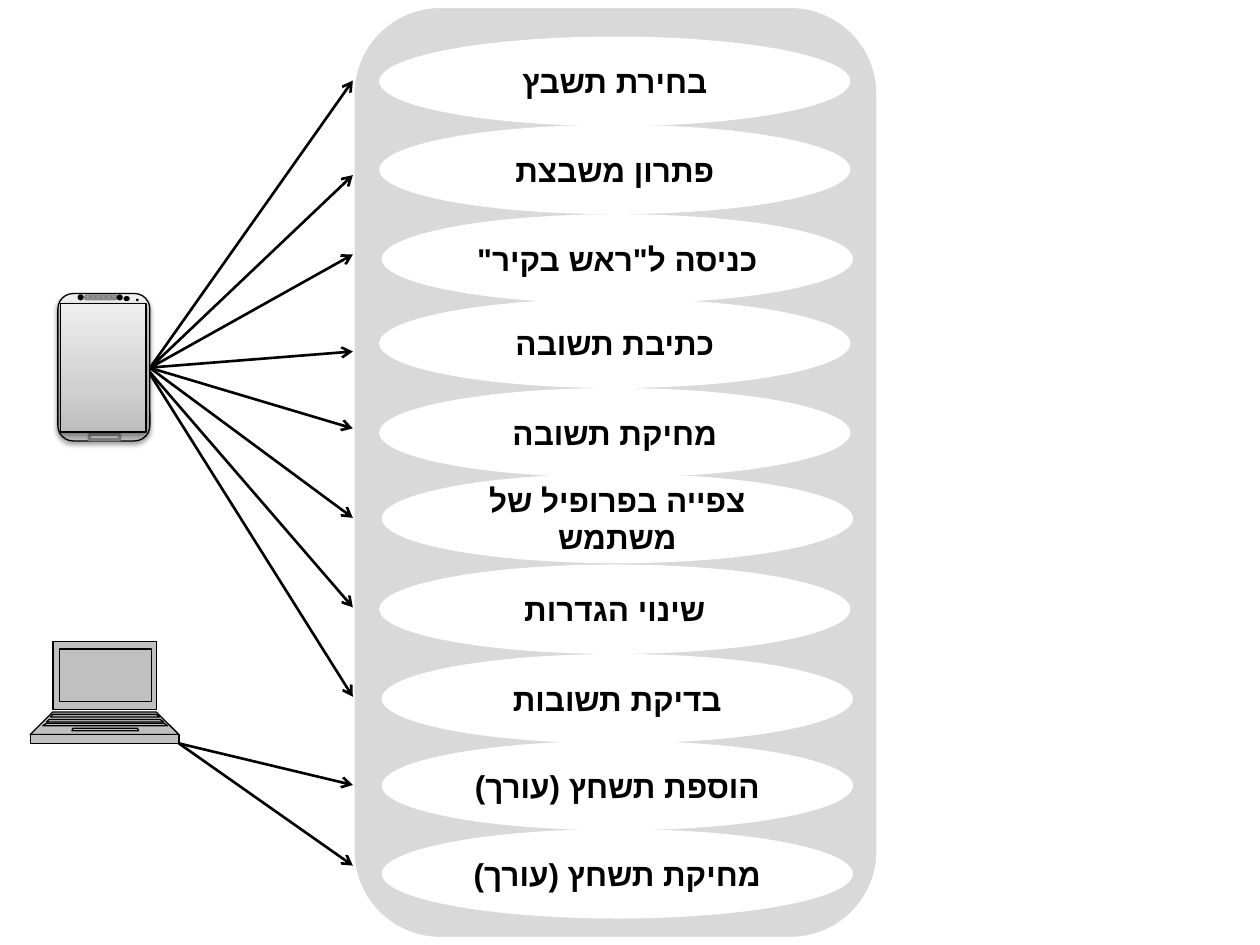
from copy import deepcopy
from lxml.etree import SubElement
from pptx import Presentation
from pptx.dml.color import RGBColor
from pptx.enum.dml import MSO_PATTERN
from pptx.enum.shapes import MSO_CONNECTOR, MSO_SHAPE as SHAPE
from pptx.enum.text import MSO_ANCHOR, PP_ALIGN
from pptx.oxml.ns import qn
from pptx.util import Inches, Pt

COLORS = {name: RGBColor.from_string(value) for name, value in {
    "black": "000000", "white": "FFFFFF", "panel": "D9D9D9", "laptop": "C0C0C0",
    "dark": "BDBDBD", "middle": "D1D1D1", "light": "EEEEEE",
    "speaker": "A6A6A6", "button": "808080"}.items()}


def style(shape, fill=None, line=None, width=0.75):
    shape.shadow.inherit = False
    if fill:
        shape.fill.solid()
        shape.fill.fore_color.rgb = COLORS[fill]
    if line:
        shape.line.color.rgb = COLORS[line]
        shape.line.width = Pt(width)
    else:
        shape.line.fill.background()


def add_part(parent, kind, box, fill=None, line=None, width=0.75):
    part = parent.add_shape(kind, *[Inches(value) for value in box])
    style(part, fill, line, width)
    return part


prs = Presentation()
prs.slide_width, prs.slide_height = Inches(10), Inches(7.5)
slide = prs.slides.add_slide(prs.slide_layouts[6])
shapes = slide.shapes

outline = shapes.build_freeform(Inches(0.42), Inches(5.09))
for top, left, right, bottom, low_left, low_right in [
    (5.09, 0.42, 1.24, 5.63, 0.42, 1.24),
    (5.65, 0.42, 1.24, 5.83, 0.24, 1.42),
    (5.83, 0.24, 1.42, 5.9, 0.24, 1.42),
    (5.15, 0.47, 1.2, 5.57, 0.47, 1.2),
    (5.67, 0.42, 1.24, 5.69, 0.4, 1.27),
    (5.78, 0.58, 1.09, 5.8, 0.57, 1.1),
    (5.71, 0.39, 1.27, 5.73, 0.37, 1.3),
    (5.74, 0.37, 1.3, 5.76, 0.34, 1.33),
]:
    if top > 5.09:
        outline.move_to(Inches(left), Inches(top))
    outline.add_line_segments([(Inches(x), Inches(y)) for x, y in [
        (right, top), (low_right, bottom), (low_left, bottom)]])
laptop = outline.convert_to_shape()
style(laptop, "laptop", "black")

contours = laptop._element.spPr.find(".//" + qn("a:pathLst"))
joined = contours[0]
size = dict(joined.attrib)
for step in list(joined):
    if step.tag == qn("a:moveTo"):
        contour = SubElement(contours, qn("a:path"), size)
    contour.append(step)
contours.remove(joined)

add_part(shapes, SHAPE.ROUNDED_RECTANGLE, (2.8, 0.05, 4.17, 7.4), "panel", "white", 2)

for left, top, label in [
    (3.01, 0.29, "בחירת תשבץ"),
    (3.01, 0.99, "פתרון משבצת"),
    (3.03, 1.7, 'כניסה ל"ראש בקיר"'),
    (3.01, 2.37, "כתיבת תשובה"),
    (3.01, 3.08, "מחיקת תשובה"),
    (3.03, 3.76, "צפייה בפרופיל של משתמש"),
    (3.01, 4.48, "שינוי הגדרות"),
    (3.03, 5.19, "בדיקת תשובות"),
    (3.03, 5.88, "הוספת תשחץ (עורך)"),
    (3.03, 6.58, "מחיקת תשחץ (עורך)"),
]:
    use_case = add_part(shapes, SHAPE.OVAL, (left, top, 3.74, 0.71), "white")
    frame = use_case.text_frame
    frame.word_wrap = True
    frame.vertical_anchor = MSO_ANCHOR.MIDDLE
    paragraph = frame.paragraphs[0]
    paragraph.alignment = PP_ALIGN.CENTER
    paragraph._p.get_or_add_pPr().set("rtl", "1")
    run = paragraph.add_run()
    run.text = label
    run.font.size, run.font.bold, run.font.name = Pt(18), True, "Calibri"
    run.font.color.rgb = COLORS["black"]
    SubElement(run._r.get_or_add_rPr(), qn("a:cs"), typeface="Arial")

phone_edge, phone_inside, laptop_corner = (1.19, 2.92), (1.16, 2.92), (1.42, 5.9)
for start, end_y in [
    (phone_edge, 0.64), (phone_edge, 1.39), (phone_edge, 2.02), (phone_inside, 2.79),
    (phone_edge, 3.4), (phone_edge, 4.11), (phone_inside, 4.82), (phone_inside, 5.53),
    (laptop_corner, 6.23), (laptop_corner, 6.87),
]:
    arrow = shapes.add_connector(MSO_CONNECTOR.STRAIGHT, Inches(start[0]), Inches(start[1]),
                                 Inches(2.8), Inches(end_y))
    arrow.line.color.rgb = COLORS["black"]
    arrow.line.width = Pt(1.5)
    SubElement(arrow.line._get_or_add_ln(), qn("a:tailEnd"), type="arrow")
    SubElement(arrow._element.spPr, qn("a:effectLst"))

phone = shapes.add_group_shape().shapes
body = add_part(phone, SHAPE.ROUNDED_RECTANGLE, (0.46, 2.33, 0.73, 1.17), line="black")
add_part(phone, SHAPE.ROUNDED_RECTANGLE, (0.71, 3.45, 0.24, 0.04), "panel", "button", 2)
speaker = add_part(phone, SHAPE.ROUNDED_RECTANGLE, (0.68, 2.35, 0.24, 0.02), line="black", width=2)
speaker.fill.patterned()
speaker.fill.pattern = MSO_PATTERN.TRELLIS
speaker.fill.fore_color.rgb = COLORS["speaker"]
speaker.fill.back_color.rgb = COLORS["white"]
speaker_color = speaker.line._get_or_add_ln().find(".//" + qn("a:srgbClr"))
SubElement(speaker_color, qn("a:alpha"), val="42000")
screen = add_part(phone, SHAPE.RECTANGLE, (0.48, 2.41, 0.68, 1.02), line="black")

for panel in (body, screen):
    panel.fill.gradient()
    panel.fill.gradient_angle = 90
    stops = panel._element.spPr.find(".//" + qn("a:gsLst"))
    stops.append(deepcopy(stops[-1]))
    for stop, (position, color) in zip(panel.fill.gradient_stops, [
            (0, "dark"), (0.35, "middle"), (1, "light")]):
        stop.position = position
        stop.color.rgb = COLORS[color]
    effects = panel._element.spPr.find(qn("a:effectLst"))
    shadow = SubElement(effects, qn("a:outerShdw"), blurRad=str(Pt(3.1)), dist=str(Pt(1.6)),
                        dir="5400000", rotWithShape="0")
    shadow_color = SubElement(shadow, qn("a:srgbClr"), val="000000")
    SubElement(shadow_color, qn("a:alpha"), val="38000")

for left, top, width, height, line in [
    (0.63, 2.35, 0.02, 0.02, "black"),
    (0.98, 2.35, 0.05, 0.04, None),
    (0.94, 2.35, 0.02, 0.02, "black"),
    (1.08, 2.37, 0.02, 0.02, None),
]:
    add_part(phone, SHAPE.OVAL, (left, top, width, height), "black", line, 2)

prs.save("out.pptx")
